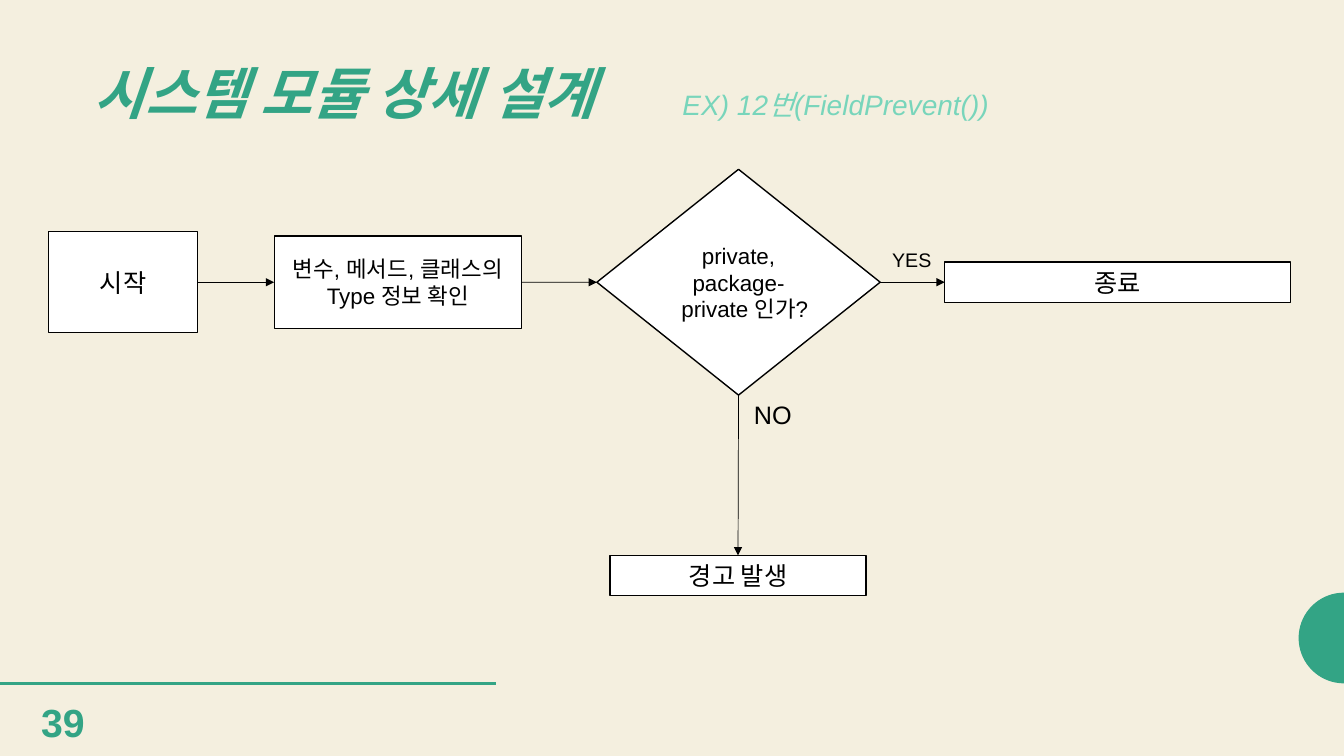
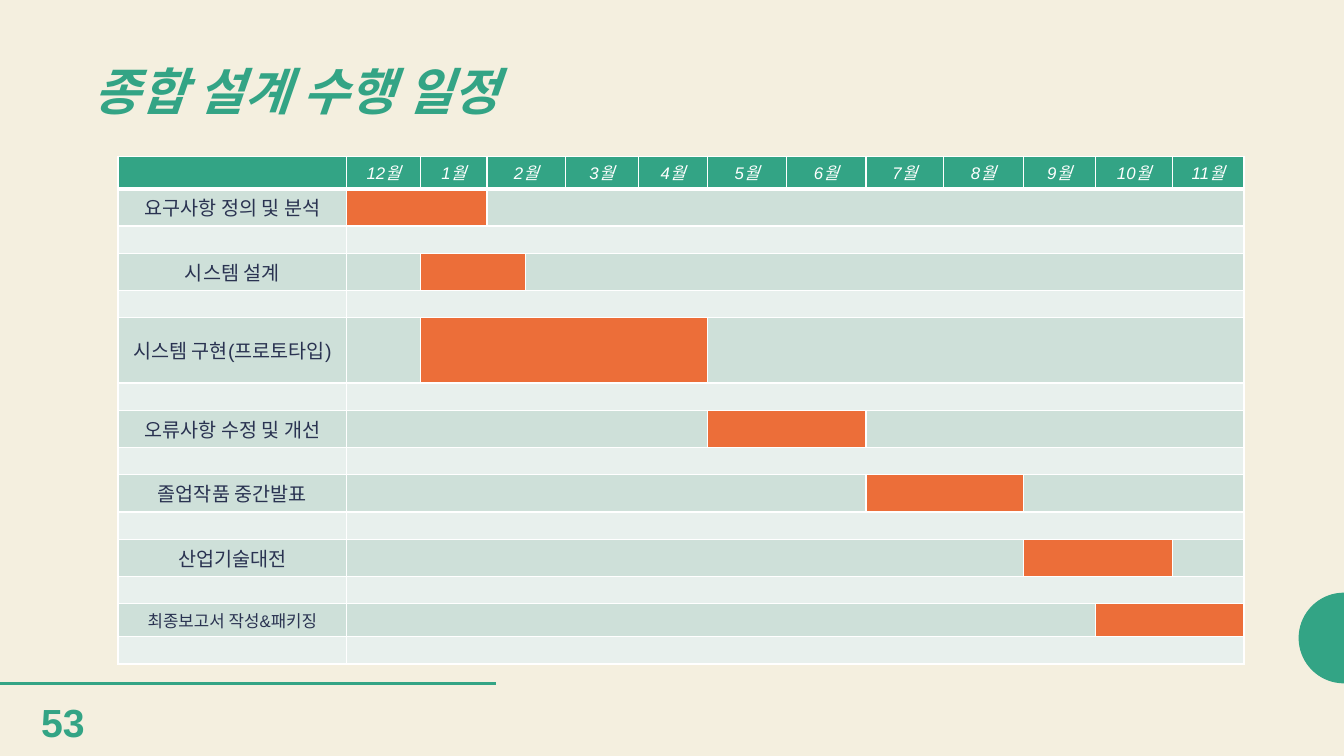
from dataclasses import dataclass
from math import cos, pi, sin

from lxml.etree import SubElement
from pptx import Presentation
from pptx.dml.color import RGBColor
from pptx.enum.shapes import MSO_CONNECTOR as Connector, MSO_SHAPE as Preset
from pptx.enum.text import MSO_ANCHOR as Anchor, MSO_AUTO_SIZE as AutoSize, PP_ALIGN as Align
from pptx.oxml.ns import qn
from pptx.util import Inches, Pt


@dataclass(frozen=True)
class Theme:
    font: str = "Arial"
    paper: str = "F4EFDF"
    green: str = "33A485"
    mint: str = "78D5BB"
    white: str = "FFFFFF"
    black: str = "000000"
    navy: str = "2A3351"
    orange: str = "EC6E39"
    row: str = "CEE0D9"
    gap: str = "E8F0ED"
    title: int = 40
    number: int = 28
    subtitle: int = 20
    node: int = 18
    detail: int = 16
    label: int = 14
    small: int = 12
    empty: int = 8


THEME = Theme()
SIZE = (13.33, 7.5)
RECT_TOP, RECT_LEFT, RECT_BOTTOM, RECT_RIGHT = range(4)


def rgb(color):
    return RGBColor.from_string(color)


def write(frame, text, size, color=THEME.black, bold=False, italic=False,
          align=Align.LEFT, anchor=Anchor.TOP, spacing=None):
    frame.word_wrap = True
    frame.auto_size = AutoSize.NONE
    frame.vertical_anchor = anchor
    para = frame.paragraphs[0]
    para.alignment = align
    para.line_spacing = spacing
    span = para.add_run()
    span.text = text
    font = span.font
    font.name, font.size, font.bold, font.italic = THEME.font, Pt(size), bold, italic
    font.color.rgb = rgb(color)


class SlideWriter:
    """Holds the theme and the current slide, and draws each kind of element."""

    def __init__(self, theme):
        self.theme = theme
        self.deck = Presentation()
        self.deck.slide_width, self.deck.slide_height = map(Inches, SIZE)
        fill = self.deck.slide_master.background.fill
        fill.solid()
        fill.fore_color.rgb = rgb(theme.paper)
        self.page = None

    def start(self, title, number, width, size):
        self.page = self.deck.slides.add_slide(self.deck.slide_layouts[5])
        self.half_circle(SIZE[0], 6.33, 0.45)
        self.line((0, 6.78), (4.92, 6.78), self.theme.green, 2)
        box = self.page.shapes.title
        box.left, box.top, box.width, box.height = map(Inches, (0.83, 0.61, width, 0.79))
        write(box.text_frame, title, size, self.theme.green, bold=True, italic=True, spacing=0.9)
        self.text(number, 0.31, 6.88, 0.8, 0.57, size=self.theme.number,
                  color=self.theme.green, bold=True)

    def paint(self, shape, fill, outline=None):
        shape.shadow.inherit = False
        shape.fill.solid()
        shape.fill.fore_color.rgb = rgb(fill)
        if outline:
            shape.line.color.rgb = rgb(outline)
            shape.line.width = Pt(1)
        else:
            shape.line.fill.background()

    def half_circle(self, x, y, radius, steps=36):
        angles = [pi * step / steps for step in range(steps + 1)]
        points = [(Inches(x - radius * sin(angle)), Inches(y - radius * cos(angle)))
                  for angle in angles]
        builder = self.page.shapes.build_freeform(*points[0])
        builder.add_line_segments(points[1:], close=True)
        self.paint(builder.convert_to_shape(), self.theme.green)

    def text(self, text, left, top, width, height, **style):
        box = self.page.shapes.add_textbox(*map(Inches, (left, top, width, height)))
        write(box.text_frame, text, **style)

    def node(self, text, left, middle, width, height, size, preset=Preset.RECTANGLE):
        place = (left, middle - height / 2, width, height)
        box = self.page.shapes.add_shape(preset, *map(Inches, place))
        self.paint(box, self.theme.white, self.theme.black)
        write(box.text_frame, text, size, align=Align.CENTER, anchor=Anchor.MIDDLE)
        return box

    def line(self, start, end, color, width):
        line = self.page.shapes.add_connector(
            Connector.STRAIGHT, *map(Inches, (*start, *end)))
        line.line.color.rgb = rgb(color)
        line.line.width = Pt(width)
        SubElement(line._element.spPr, qn("a:effectLst"))
        return line

    def arrow(self, source, source_site, target, target_site):
        arrow = self.line((0, 0), (0, 0), self.theme.black, 0.5)
        arrow.begin_connect(source, source_site)
        arrow.end_connect(target, target_site)
        SubElement(arrow.line._get_or_add_ln(), qn("a:tailEnd"), type="triangle")

    def table(self, left, top, widths, heights):
        place = (left, top, sum(widths), sum(heights))
        frame = self.page.shapes.add_table(len(heights), len(widths), *map(Inches, place))
        table = frame.table
        table.first_row = table.horz_banding = False
        for column, width in zip(table.columns, widths):
            column.width = Inches(width)
        for row, height in zip(table.rows, heights):
            row.height = Inches(height)
        return table

    def borders(self, cell, top=1, bottom=1):
        properties = cell._tc.get_or_add_tcPr()
        for side, width in (("L", 1), ("R", 1), ("T", top), ("B", bottom)):
            edge = SubElement(properties, qn(f"a:ln{side}"), w=str(Pt(width)))
            fill = SubElement(edge, qn("a:solidFill"))
            SubElement(fill, qn("a:srgbClr"), val=self.theme.white)

    def cells(self, table, row, first, last, fill, text="", **style):
        for column in range(first, last + 1):
            cell = table.cell(row, column)
            self.borders(cell, top=3 if row == 1 else 1, bottom=3 if row == 0 else 1)
            cell.fill.solid()
            cell.fill.fore_color.rgb = rgb(fill)
            cell.margin_left = cell.margin_right = Inches(0.08)
            cell.margin_top = cell.margin_bottom = Inches(0.04)
            ending = cell.text_frame.paragraphs[0]._p.get_or_add_endParaRPr()
            ending.set("sz", str(self.theme.empty * 100))
        cell = table.cell(row, first)
        if last > first:
            cell.merge(table.cell(row, last))
        if text:
            write(cell.text_frame, text, align=Align.CENTER, **style)
            cell.vertical_anchor = Anchor.MIDDLE


def flowchart(slide):
    theme = slide.theme
    slide.start("시스템 모듈 상세 설계", "39", 5.7, theme.title)
    slide.text("EX) 12번(FieldPrevent())", 6.67, 0.82, 4.95, 0.59,
               size=theme.subtitle, color=theme.mint, italic=True)
    middle = 2.8
    begin = slide.node("시작", 0.48, middle, 1.48, 1, theme.node)
    check = slide.node("변수, 메서드, 클래스의 Type 정보 확인", 2.72, middle, 2.45, 0.92,
                       theme.detail)
    decision = slide.node("private, package-private 인가?", 5.92, middle, 2.81, 2.24,
                          theme.detail, Preset.DIAMOND)
    finish = slide.node("종료", 9.37, middle, 3.43, 0.4, theme.node)
    warning = slide.node("경고 발생", 6.05, 5.71, 2.54, 0.4, theme.node)
    for source, target in ((begin, check), (check, decision), (decision, finish)):
        slide.arrow(source, RECT_RIGHT, target, RECT_LEFT)
    slide.arrow(decision, RECT_BOTTOM, warning, RECT_TOP)
    slide.text("NO", 7.38, 3.91, 0.76, 0.4, size=theme.node)
    slide.text("YES", 8.75, 2.41, 0.61, 0.34, size=theme.label)


def schedule(slide):
    theme = slide.theme
    slide.start("종합 설계 수행 일정", "53", 4.85, 36)
    months = [(f"{month}월", column, column + (month == 2)) for month, column in
              zip([12, *range(1, 12)], [1, 2, 3, *range(5, 14)])]
    tasks = [
        ("요구사항 정의 및 분석", 1, 2, 0.37, theme.label),
        ("시스템 설계", 2, 3, 0.37, theme.label),
        ("시스템 구현(프로토타입)", 2, 6, 0.65, theme.label),
        ("오류사항 수정 및 개선", 7, 8, 0.37, theme.label),
        ("졸업작품 중간발표", 9, 10, 0.37, theme.label),
        ("산업기술대전", 11, 12, 0.37, theme.label),
        ("최종보고서 작성&패키징", 12, 13, 0.33, theme.small),
    ]
    widths = [2.27, 0.73, 0.66, 0.38, 0.4, 0.72, 0.69, 0.78, 0.79, 0.77, 0.79, 0.72, 0.76, 0.71]
    heights = [0.32]
    for task in tasks:
        heights += [task[3], 0.27]
    table = slide.table(1.17, 1.55, widths, heights)
    end = len(widths) - 1
    slide.cells(table, 0, 0, 0, theme.green)
    for month, first, last in months:
        slide.cells(table, 0, first, last, theme.green, month,
                    size=theme.small, color=theme.white, italic=True)
    for index, (name, first, last, _, size) in enumerate(tasks):
        row = 2 * index + 1
        slide.cells(table, row, 0, 0, theme.row, name, size=size, color=theme.navy)
        if first > 1:
            slide.cells(table, row, 1, first - 1, theme.row)
        slide.cells(table, row, first, last, theme.orange)
        if last < end:
            slide.cells(table, row, last + 1, end, theme.row)
        slide.cells(table, row + 1, 0, 0, theme.gap)
        slide.cells(table, row + 1, 1, end, theme.gap)


def main():
    slide = SlideWriter(THEME)
    flowchart(slide)
    schedule(slide)
    slide.deck.save("out.pptx")


if __name__ == "__main__":
    main()
